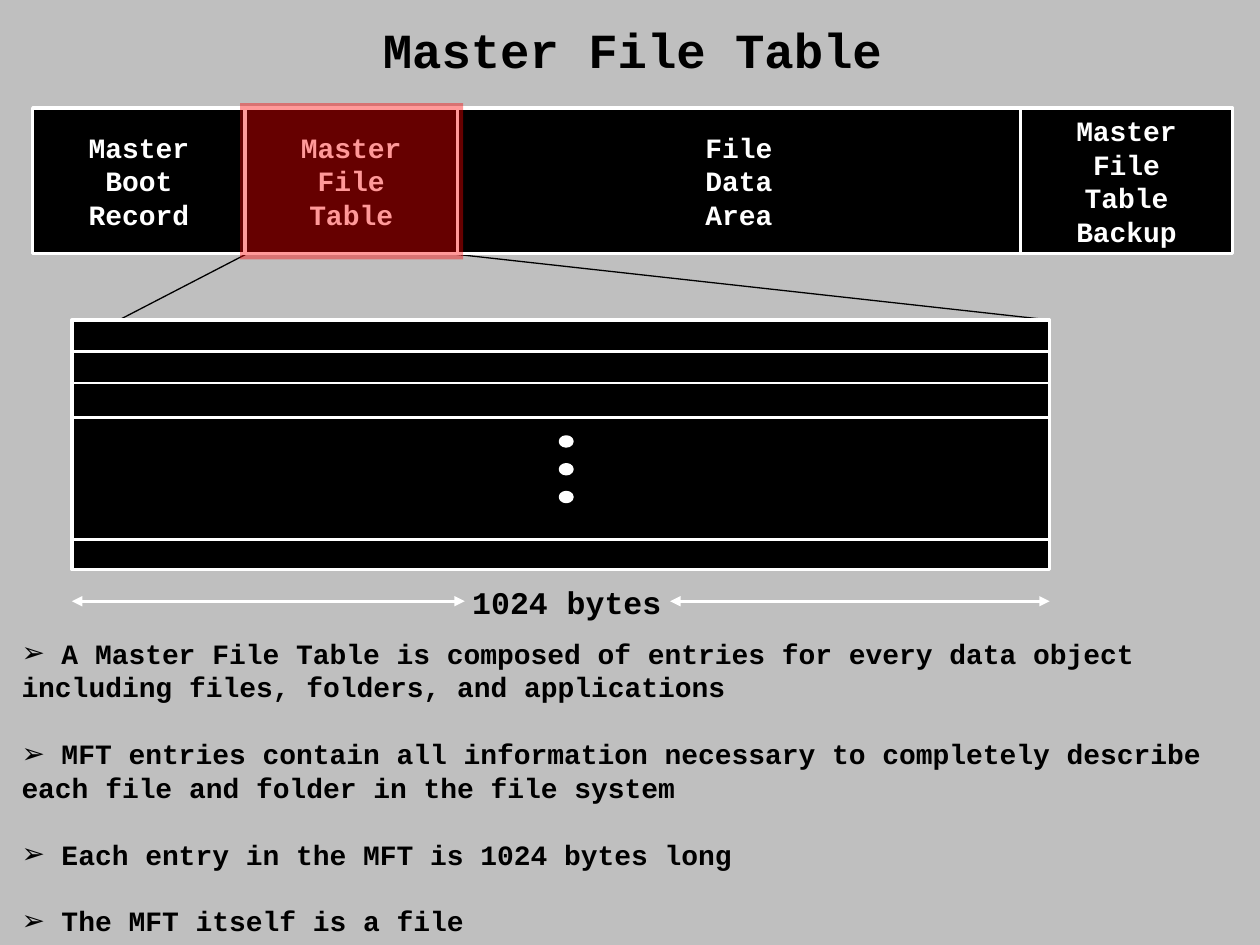
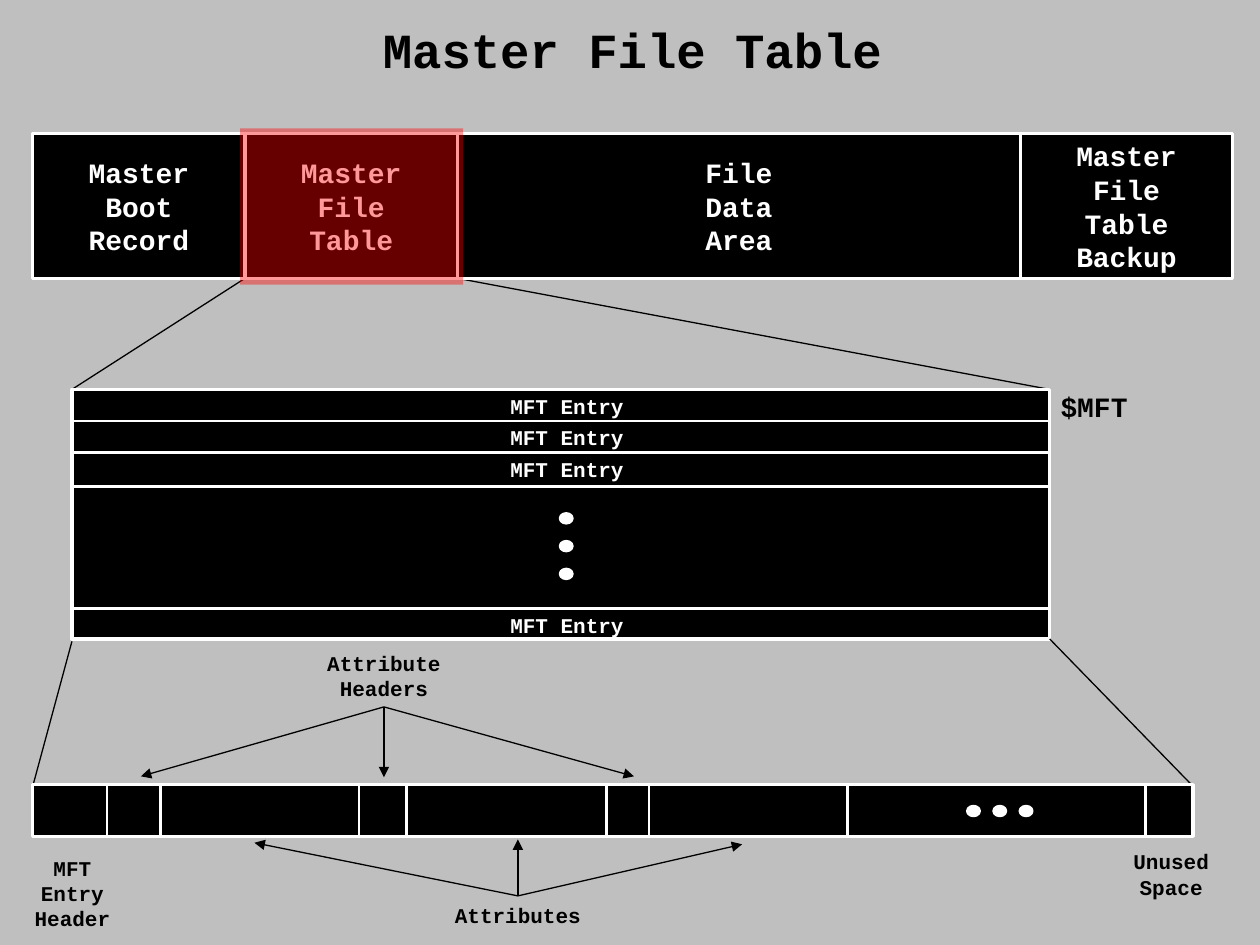
from lxml.etree import SubElement
from pptx import Presentation
from pptx.dml.color import RGBColor
from pptx.enum.shapes import MSO_CONNECTOR, MSO_SHAPE
from pptx.enum.text import MSO_ANCHOR, MSO_AUTO_SIZE, PP_ALIGN
from pptx.oxml.ns import qn
from pptx.util import Cm, Pt

BLACK = RGBColor(0x00, 0x00, 0x00)
WHITE = RGBColor(0xFF, 0xFF, 0xFF)
GREY = RGBColor(0xBF, 0xBF, 0xBF)
RED = RGBColor(0xFF, 0x00, 0x00)
FONT = "Courier New"

# Shared grid, in cm
LEFT, RIGHT = 1.45, 21.16
EDGE = 0.66
CELL, TALL = 4.28, 2.93
DEEP = 5.03
ROWS = [0.64, 1.27, 1.96, 4.42]
DOT = (0.23, 0.18)


def put(page, kind, box, lines=(), size=16, color=WHITE, fill=BLACK,
        align=PP_ALIGN.CENTER):
    """Add a preset shape, or a text box when kind is None."""
    spot = [Cm(n) for n in box]
    if kind is None:
        item = page.shapes.add_textbox(*spot)
        item.text_frame.word_wrap = False
        item.text_frame.auto_size = MSO_AUTO_SIZE.SHAPE_TO_FIT_TEXT
    else:
        item = page.shapes.add_shape(kind, *spot)
        item.shadow.inherit = False
        item.fill.solid()
        item.fill.fore_color.rgb = fill
        item.line.color.rgb = WHITE
        item.line.width = Pt(2)
        item.text_frame.vertical_anchor = MSO_ANCHOR.MIDDLE
    for i, line in enumerate(lines):
        frame = item.text_frame
        para = frame.add_paragraph() if i else frame.paragraphs[0]
        para.alignment = align
        run = para.add_run()
        run.text = line
        run.font.name, run.font.size, run.font.bold = FONT, Pt(size), True
        run.font.color.rgb = color
    return item


def rule(page, start, end, color=BLACK, ends=()):
    """Add a straight line; ends may hold headEnd and tailEnd."""
    line = page.shapes.add_connector(
        MSO_CONNECTOR.STRAIGHT, *[Cm(n) for n in (*start, *end)])
    line.line.color.rgb = color
    line.line.width = Pt(0.75 if color == BLACK else 1.5)
    for tag in ends:
        SubElement(line.line._get_or_add_ln(), qn("a:" + tag), type="triangle")
    SubElement(line._element.spPr, qn("a:effectLst"))
    return line


deck = Presentation()
deck.slide_width, deck.slide_height = Cm(25.4), Cm(19.05)
back = deck.slide_master.background.fill
back.solid()
back.fore_color.rgb = GREY

one = deck.slides.add_slide(deck.slide_layouts[1])
two = deck.slides.add_slide(deck.slide_layouts[5])

# Parts of both slides: page, bar top, table top, dot offset, zoom starts
plans = [
    (one, 2.18, 6.45, 2.36, [((4.62, 4.62), RIGHT), ((4.95, 5.13), 2.4)]),
    (two, 2.69, 7.85, 2.51, [((9.22, 5.61), RIGHT), ((4.94, 5.61), LEFT)]),
]
cells = [
    (CELL, ["Master", "Boot", "Record"]),
    (CELL, ["Master", "File", "Table"]),
    (11.35, ["File", "Data", "Area"]),
    (CELL, ["Master", "File", "Table", "Backup"]),
]
for page, bar, top, drop, zoom in plans:
    # Title
    title = page.shapes.title
    title.left, title.top = Cm(LEFT), Cm(0.18)
    title.width, title.height = Cm(22.6), Cm(1.63)
    frame = title.text_frame
    frame.auto_size = MSO_AUTO_SIZE.NONE
    frame.vertical_anchor = MSO_ANCHOR.MIDDLE
    para = frame.paragraphs[0]
    para.alignment = PP_ALIGN.CENTER
    run = para.add_run()
    run.text = "Master File Table"
    run.font.name, run.font.size, run.font.bold = FONT, Pt(28), True
    run.font.color.rgb = BLACK

    # Zoom lines, disk bar and red mark
    for start, x in zoom:
        rule(page, start, (x, top))
    x = EDGE
    for wide, lines in cells:
        put(page, MSO_SHAPE.RECTANGLE, (x, bar, wide, TALL), lines)
        x += wide
    mark = put(page, MSO_SHAPE.RECTANGLE,
               (EDGE + CELL - 0.1, bar - 0.1, 4.5, 3.15), fill=RED)
    mark.line.fill.background()
    tint = mark._element.spPr.find(qn("a:solidFill"))[0]
    SubElement(tint, qn("a:alpha"), val="40000")

    # Table of entries
    put(page, MSO_SHAPE.RECTANGLE, (LEFT, top, RIGHT - LEFT, DEEP))
    for row in ROWS:
        rule(page, (LEFT, top + row), (RIGHT, top + row), WHITE)
    for i in range(3):
        put(page, MSO_SHAPE.OVAL, (11.3, top + drop + 0.56 * i, *DOT),
            fill=WHITE)

# Slide 1: entry width
put(one, None, (9.27, 11.63, 4.34, 1.02), ["1024 bytes"], 18, BLACK,
    align=PP_ALIGN.LEFT)
for x, end in [(LEFT, 9.37), (13.51, RIGHT)]:
    rule(one, (x, 12.12), (end, 12.12), WHITE, ["headEnd", "tailEnd"])

# Slide 1: list
facts = [
    " A Master File Table is composed of entries for every data object "
    "including files, folders, and applications",
    " MFT entries contain all information necessary to completely describe "
    "each file and folder in the file system",
    " Each entry in the MFT is 1024 bytes long",
    " The MFT itself is a file",
]
body = one.placeholders[1]
body.left, body.top = Cm(0.18), Cm(12.7)
body.width, body.height = Cm(25.07), Cm(6.2)
frame = body.text_frame
frame.auto_size = MSO_AUTO_SIZE.NONE
for i, fact in enumerate(facts):
    para = frame.add_paragraph() if i else frame.paragraphs[0]
    props = para._p.get_or_add_pPr()
    props.set("marL", "0")
    props.set("indent", "0")
    SubElement(props, qn("a:buChar"), char="➢")
    para.space_before = Pt(19 if i else 0)
    run = para.add_run()
    run.text = fact
    run.font.name, run.font.size, run.font.bold = FONT, Pt(16), True
    run.font.color.rgb = BLACK

# Slide 2: entry names
for row in [0, *ROWS[:2], ROWS[3]]:
    put(two, None, (10.01, 7.8 + row, 2.84, 0.76), ["MFT Entry"], 12)
put(two, None, (21.13, 7.72, 1.88, 0.94), ["$MFT"], 16, BLACK,
    align=PP_ALIGN.LEFT)

# Slide 2: one entry in detail
rule(two, (LEFT, 12.93), (EDGE, 15.85))
rule(two, (RIGHT, 12.88), (24.05, 15.85))
put(two, MSO_SHAPE.RECTANGLE, (EDGE, 15.82, 23.39, 1.04))
for x in [2.16, 3.23, 7.24, 8.2, 12.22, 13.08, 17.09, 23.09]:
    rule(two, (x, 15.85), (x, 16.85), WHITE)
for i in range(3):
    put(two, MSO_SHAPE.OVAL, (19.51 + 0.53 * i, 16.26, *DOT), fill=WHITE)

# Slide 2: labels, each with its arrow side and tips
labels = [
    ((0.43, 17.12, 2.06, 1.8), ["MFT", "Entry", "Header"], 0, []),
    ((22.58, 16.99, 2.06, 1.27), ["Unused", "Space"], 0, []),
    ((6.32, 12.98, 2.84, 1.27), ["Attribute", "Headers"], 2,
     [(2.84, 15.65), (7.74, 15.67), (12.78, 15.65)]),
    ((8.89, 18.06, 3.1, 0.76), ["Attributes"], 0,
     [(5.13, 16.99), (10.44, 16.92), (14.96, 17.02)]),
]
for box, lines, side, tips in labels:
    label = put(two, None, box, lines, 12, BLACK)
    for tip in tips:
        arrow = rule(two, box[:2], tip, ends=["tailEnd"])
        arrow.begin_connect(label, side)

deck.save("out.pptx")
